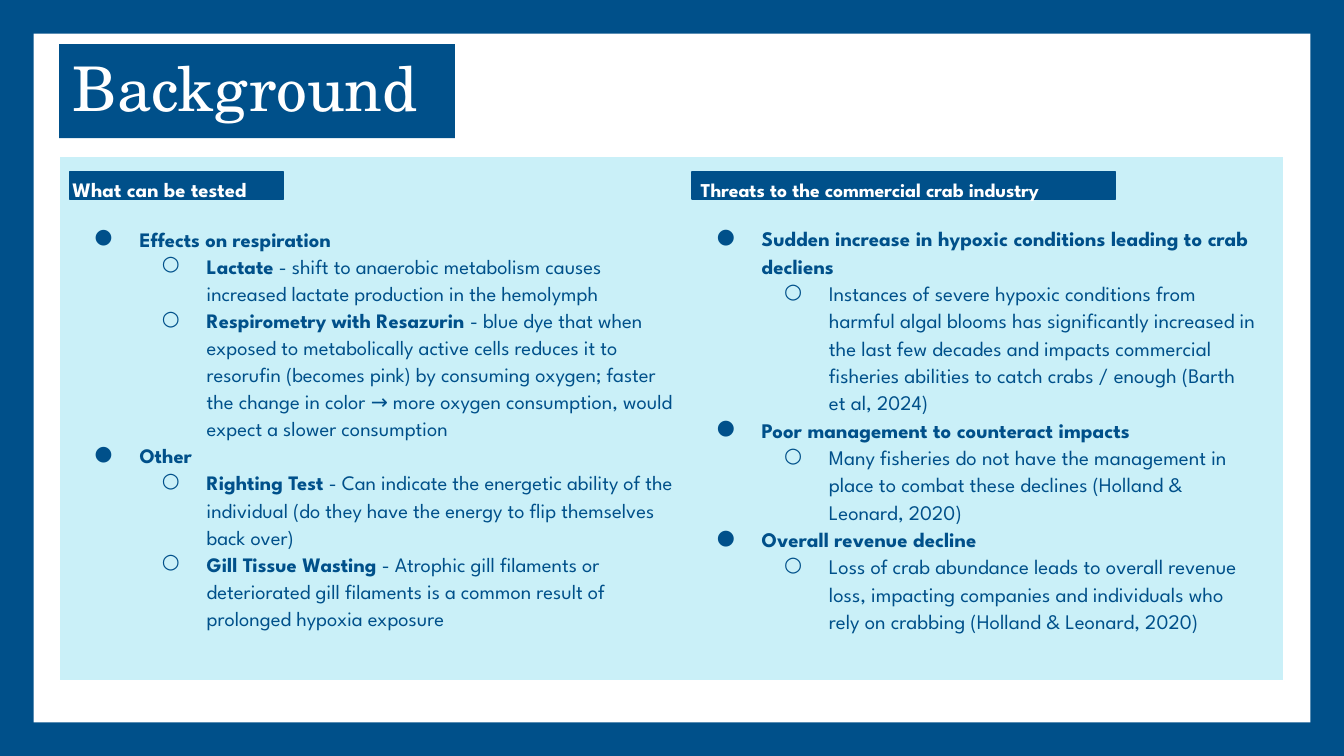
from dataclasses import dataclass

from lxml import etree
from pptx import Presentation
from pptx import util as u
from pptx.dml.color import RGBColor
from pptx.enum import shapes, text
from pptx.oxml import ns

NAVY, WHITE, AQUA = "00508A", "FFFFFF", "CAF0F8"
BODY_FONT, TITLE_FONT = "League Spartan", "TeX Gyre Schola"
INSET = 7.2


@dataclass
class Box:
    left: float
    top: float
    width: float
    height: float

    def lengths(self) -> list:
        return [u.Pt(value) for value in (self.left, self.top, self.width, self.height)]


@dataclass
class Item:
    level: int
    lead: str = ""  # bold part
    detail: str = ""  # regular part


@dataclass
class Column:
    band: Box
    box: Box
    heading: str
    heading_size: float
    heading_indent: float
    top_inset: float
    body_size: float
    items: list[Item]


COLUMNS = [
    Column(
        Box(370.8, 92.2, 226.8, 14.4), Box(365, 83.5, 315.4, 281.5),
        "Threats to the commercial crab industry", 10.5, 3.3, 10.4, 11.1,
        [
            Item(0, "Sudden increase in hypoxic conditions leading to crab decliens"),
            Item(1, detail="Instances of severe hypoxic conditions from harmful algal blooms has "
                 "significantly increased in the last few decades and impacts commercial "
                 "fisheries abilities to catch crabs / enough (Barth et al, 2024)"),
            Item(0, "Poor management to counteract impacts"),
            Item(1, detail="Many fisheries do not have the management in place to combat these "
                 "declines (Holland & Leonard, 2020)"),
            Item(0, "Overall revenue decline"),
            Item(1, detail="Loss of crab abundance leads to overall revenue loss, impacting "
                 "companies and individuals who rely on crabbing (Holland & Leonard, 2020)"),
        ],
    ),
    Column(
        Box(37.4, 92.2, 114.5, 14.4), Box(31.7, 86.4, 336.2, 277.2),
        "What can be tested", 11, 0, INSET, 11,
        [
            Item(0, "Effects on respiration"),
            Item(1, "Lactate", " - shift to anaerobic metabolism causes increased lactate "
                 "production in the hemolymph"),
            Item(1, "Respirometry with Resazurin", " - blue dye that when exposed to "
                 "metabolically active cells reduces it to resorufin (becomes pink) by "
                 "consuming oxygen; faster the change in color → more oxygen consumption, "
                 "would expect a slower consumption"),
            Item(0, "Other"),
            Item(1, "Righting Test", " - Can indicate the energetic ability of the individual "
                 "(do they have the energy to flip themselves back over)"),
            Item(1, "Gill Tissue Wasting", " - Atrophic gill filaments or deteriorated gill "
                 "filaments is a common result of prolonged hypoxia exposure"),
        ],
    ),
]


def color(value: str) -> RGBColor:
    return RGBColor.from_string(value)


def set_fill(target, value: str) -> None:
    target.fill.solid()
    target.fill.fore_color.rgb = color(value)


def set_font(font, name: str, size: float, value: str) -> None:
    font.name, font.size = name, u.Pt(size)
    font.color.rgb = color(value)


def set_insets(frame, top: float = INSET) -> None:
    frame.margin_left = frame.margin_right = frame.margin_bottom = u.Pt(INSET)
    frame.margin_top = u.Pt(top)
    frame.word_wrap = True
    frame.auto_size = text.MSO_AUTO_SIZE.NONE


def add_rectangle(slide, box: Box, fill: str, line: str = ""):
    shape = slide.shapes.add_shape(shapes.MSO_SHAPE.RECTANGLE, *box.lengths())
    shape.shadow.inherit = False
    set_fill(shape, fill)
    if line:
        shape.line.color.rgb = color(line)
        shape.line.width = u.Pt(0.75)
    else:
        shape.line.fill.background()
    return shape


def indent(paragraph, left: float, first: float) -> None:
    properties = paragraph._p.get_or_add_pPr()
    properties.set("marL", str(u.Pt(left)))
    properties.set("indent", str(u.Pt(first)))


def add_bullet(paragraph, level: int) -> None:
    paragraph.level = level
    indent(paragraph, 36 * (level + 1), -24)
    properties = paragraph._p.get_or_add_pPr()
    bullet_color = etree.SubElement(properties, ns.qn("a:buClr"))
    etree.SubElement(bullet_color, ns.qn("a:srgbClr"), val=NAVY)
    etree.SubElement(properties, ns.qn("a:buFont"), typeface=BODY_FONT)
    etree.SubElement(properties, ns.qn("a:buChar"), char="●○"[level])


def add_column(slide, column: Column) -> None:
    add_rectangle(slide, column.band, NAVY, NAVY)
    frame = slide.shapes.add_textbox(*column.box.lengths()).text_frame
    set_insets(frame, column.top_inset)

    heading = frame.paragraphs[0]
    heading.text = column.heading
    heading.line_spacing = 1.1
    indent(heading, column.heading_indent, 0)
    set_font(heading.font, BODY_FONT, column.heading_size, WHITE)
    heading.font.bold = True

    for index, item in enumerate(column.items):
        paragraph = frame.add_paragraph()
        add_bullet(paragraph, item.level)
        paragraph.line_spacing = 1.1
        paragraph.space_before = u.Pt(12 if index == 0 else 0)
        set_font(paragraph.font, BODY_FONT, column.body_size, NAVY)
        for words, bold in ((item.lead, True), (item.detail, False)):
            if words:
                run = paragraph.add_run()
                run.text = words
                run.font.bold = bold


def add_title(slide, box: Box, words: str) -> None:
    title = slide.shapes.title
    title.left, title.top, title.width, title.height = box.lengths()
    set_fill(title, NAVY)
    frame = title.text_frame
    set_insets(frame)
    frame.vertical_anchor = text.MSO_ANCHOR.MIDDLE
    paragraph = frame.paragraphs[0]
    paragraph.text = words
    paragraph.alignment = text.PP_ALIGN.LEFT
    paragraph.line_spacing = 0.9
    set_font(paragraph.font, TITLE_FONT, 33, WHITE)


def main() -> None:
    presentation = Presentation()
    presentation.slide_width, presentation.slide_height = u.Pt(720), u.Pt(405)
    slide = presentation.slides.add_slide(presentation.slide_layouts[5])
    set_fill(slide.background, NAVY)

    # White page behind the title
    page = add_rectangle(slide, Box(18, 18, 684, 369), WHITE)
    slide.shapes.title._element.addprevious(page._element)
    add_title(slide, Box(31.7, 23.6, 212, 50.4), "Background")

    # Panel with two columns
    add_rectangle(slide, Box(32, 83.9, 656, 281), AQUA, WHITE)
    for column in COLUMNS:
        add_column(slide, column)

    presentation.save("out.pptx")


if __name__ == "__main__":
    main()
